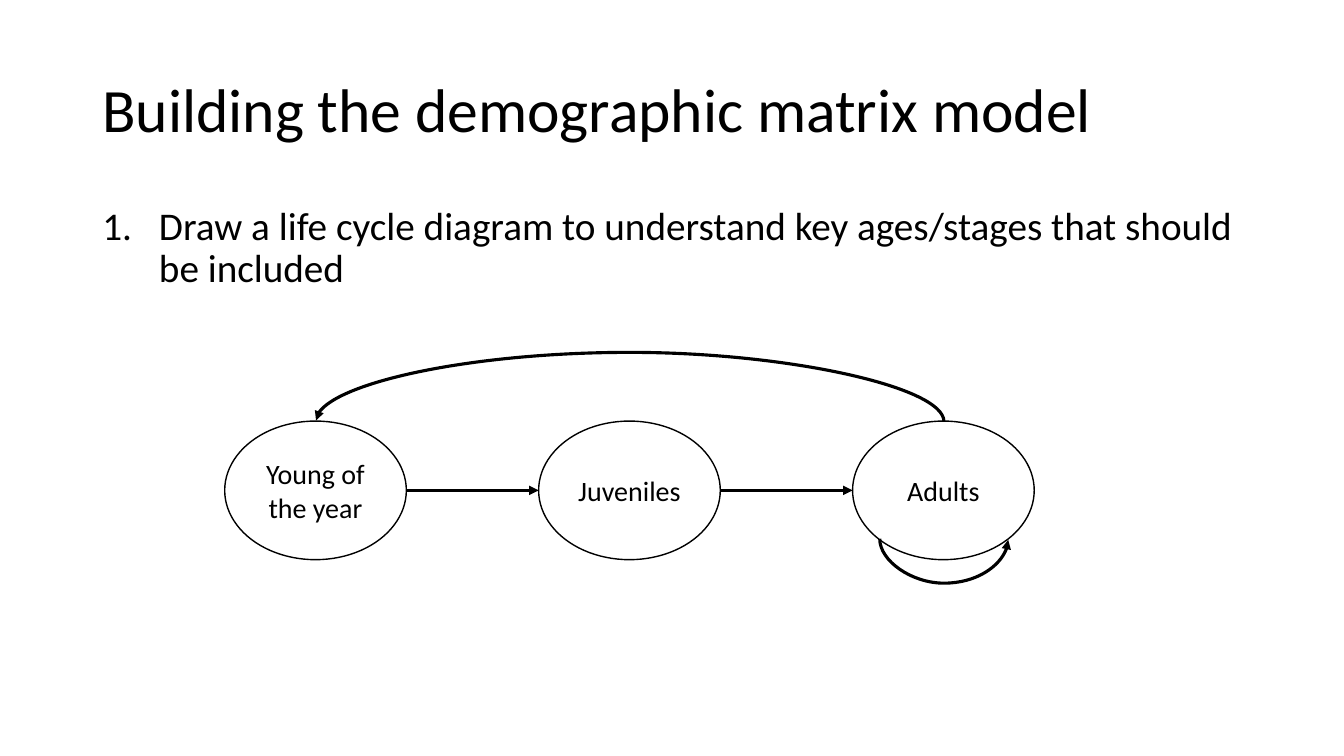
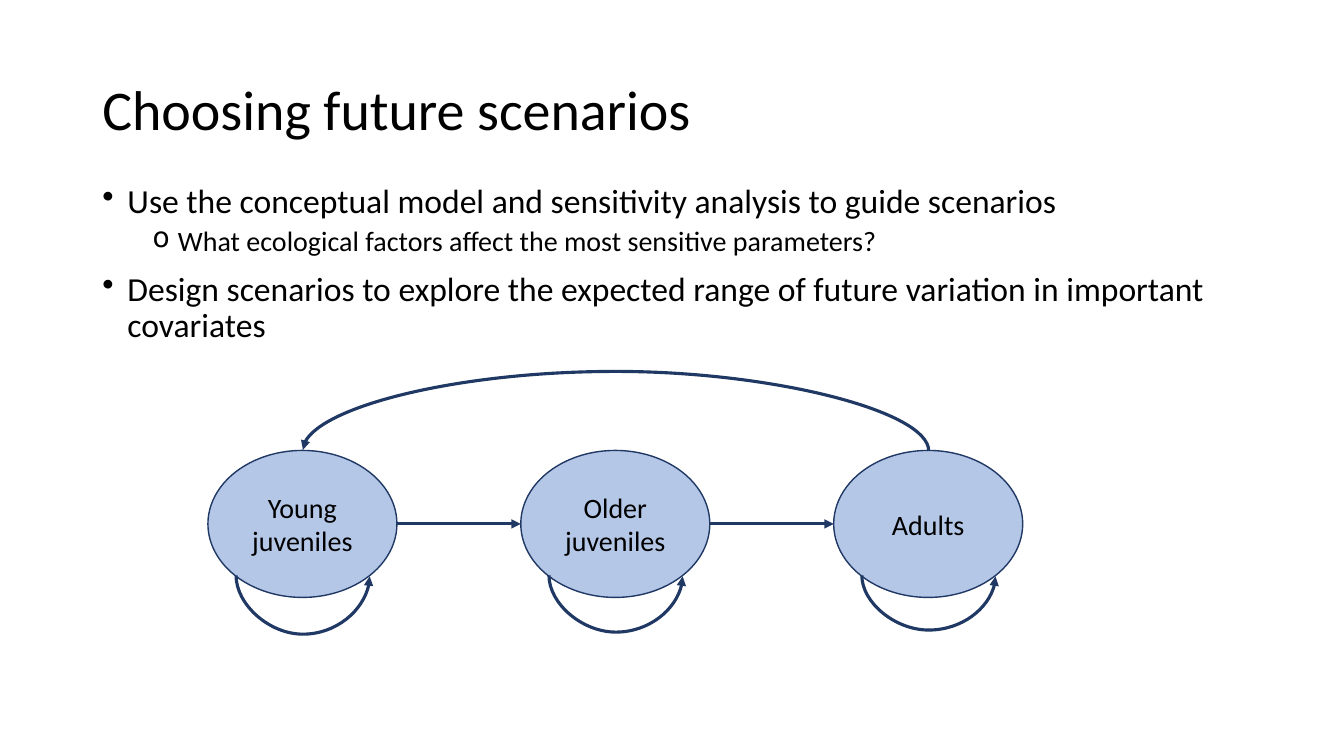
"""Build two slides about demographic matrix models and their life cycles."""
import dataclasses
import math

import lxml.etree
import pptx
import pptx.dml.color
import pptx.enum.shapes
import pptx.enum.text
import pptx.oxml.ns
import pptx.util


@dataclasses.dataclass(frozen=True)
class Theme:
    """Colours and type sizes shared by the slides."""
    font: str = "Calibri"
    ink: str = "000000"
    paper: str = "FFFFFF"
    navy: str = "203864"
    sky: str = "B4C7E7"
    title: int = 44
    title_small: int = 40
    body: int = 28
    body_small: int = 24
    detail: int = 20
    outline: float = 1
    arrow: float = 2.25


@dataclasses.dataclass(frozen=True)
class Box:
    """A rectangle in px."""
    left: int
    top: int
    width: int
    height: int

    def emu(self):
        """Return the rectangle in EMU."""
        return [px(value) for value in dataclasses.astuple(self)]


@dataclasses.dataclass(frozen=True)
class Item:
    """One list entry with its marker and indents in px."""
    text: str
    size: int
    marker: str
    indent: int
    hanging: int
    level: int = 0
    space_before: int = 10


THEME = Theme()
EMU_PER_PX = 9525
SLIDE_SIZE = (1280, 720)
TITLE_BOX = Box(88, 38, 1104, 139)
SITE_TOP, SITE_LEFT, SITE_LOWER_LEFT, SITE_LOWER_RIGHT, SITE_RIGHT = 0, 2, 3, 5, 6


def px(value):
    """Convert px to EMU."""
    return pptx.util.Emu(round(value * EMU_PER_PX))


def rgb(value):
    """Turn a hex string into a colour."""
    return pptx.dml.color.RGBColor.from_string(value)


def add_xml(parent, tag, **attributes):
    """Append a DrawingML element."""
    return lxml.etree.SubElement(parent, pptx.oxml.ns.qn(tag), **attributes)


def add_run(paragraph, text, size):
    """Append one run in the theme font."""
    run = paragraph.add_run()
    run.text = text
    run.font.name = THEME.font
    run.font.size = pptx.util.Pt(size)
    run.font.color.rgb = rgb(THEME.ink)


def add_text_frame(slide, box, anchor):
    """Add a wrapping text box and return its frame."""
    frame = slide.shapes.add_textbox(*box.emu()).text_frame
    frame.word_wrap = True
    frame.vertical_anchor = anchor
    return frame


def add_title(slide, text, size):
    """Add the slide title."""
    frame = add_text_frame(slide, TITLE_BOX, pptx.enum.text.MSO_ANCHOR.MIDDLE)
    paragraph = frame.paragraphs[0]
    paragraph.line_spacing = 0.9
    add_run(paragraph, text, size)


def add_list(slide, box, items):
    """Add a bulleted or numbered list."""
    frame = add_text_frame(slide, box, pptx.enum.text.MSO_ANCHOR.TOP)
    for index, item in enumerate(items):
        paragraph = frame.add_paragraph() if index else frame.paragraphs[0]
        paragraph.level = item.level
        paragraph.line_spacing = 0.9
        paragraph.space_before = pptx.util.Pt(item.space_before)
        properties = paragraph._p.get_or_add_pPr()
        properties.set("marL", str(px(item.indent)))
        properties.set("indent", str(px(-item.hanging)))
        if item.marker == "1.":
            add_xml(properties, "a:buAutoNum", type="arabicPeriod")
        else:
            add_xml(properties, "a:buChar", char=item.marker)
        add_run(paragraph, item.text, item.size)


def add_stage(slide, box, text, fill, line):
    """Add one life stage ellipse."""
    shape = slide.shapes.add_shape(pptx.enum.shapes.MSO_SHAPE.OVAL, *box.emu())
    shape.shadow.inherit = False
    shape.fill.solid()
    shape.fill.fore_color.rgb = rgb(fill)
    shape.line.color.rgb = rgb(line)
    shape.line.width = pptx.util.Pt(THEME.outline)
    paragraph = shape.text_frame.paragraphs[0]
    paragraph.alignment = pptx.enum.text.PP_ALIGN.CENTER
    add_run(paragraph, text, THEME.detail)
    return shape


def add_arrow(slide, kind, points, source, target, color):
    """Add an arrow glued to sites of two shapes."""
    connector = slide.shapes.add_connector(kind, *[px(value) for value in points])
    connector.line.color.rgb = rgb(color)
    connector.line.width = pptx.util.Pt(THEME.arrow)
    properties = connector._element.spPr
    add_xml(properties.find(pptx.oxml.ns.qn("a:ln")), "a:tailEnd", type="triangle")
    add_xml(properties, "a:effectLst")
    links = connector._element.nvCxnSpPr.cNvCxnSpPr
    for tag, (shape, site) in (("a:stCxn", source), ("a:endCxn", target)):
        add_xml(links, tag, id=str(shape.shape_id), idx=str(site))
    return connector


def add_arc(slide, center, span, depth, upward, source, target, color):
    """Add a curved arrow that bulges by depth px above or below its ends."""
    x, y = center
    near, far = (x, x + 1) if upward else (x + 1, x)
    half = span / 2 if upward else -span / 2
    connector = add_arrow(slide, pptx.enum.shapes.MSO_CONNECTOR.CURVE,
                          (near, y + half, far, y - half), source, target, color)
    properties = connector._element.spPr
    properties.find(pptx.oxml.ns.qn("a:xfrm")).set("rot", "16200000")
    geometry = properties.find(pptx.oxml.ns.qn("a:prstGeom"))
    add_xml(geometry.find(pptx.oxml.ns.qn("a:avLst")), "a:gd",
            name="adj1", fmla=f"val {depth * 100000}")


def add_life_cycle(slide, box, stage_width, labels, loops, return_depth, fill, line):
    """Add a row of stages with forward, return and self arrows."""
    step = (box.width - stage_width) / (len(labels) - 1)
    boxes = [Box(round(box.left + index * step), box.top, stage_width, box.height)
             for index in range(len(labels))]
    stages = [add_stage(slide, place, label, fill, line)
              for place, label in zip(boxes, labels)]
    middle = box.top + box.height / 2
    for index in range(len(stages) - 1):
        add_arrow(slide, pptx.enum.shapes.MSO_CONNECTOR.STRAIGHT,
                  (boxes[index].left + stage_width, middle, boxes[index + 1].left, middle),
                  (stages[index], SITE_RIGHT), (stages[index + 1], SITE_LEFT), line)
    diagonal = math.sqrt(0.5)
    for index, depth in loops.items():
        center = (boxes[index].left + stage_width / 2, middle + box.height / 2 * diagonal)
        add_arc(slide, center, stage_width * diagonal, depth, False,
                (stages[index], SITE_LOWER_LEFT), (stages[index], SITE_LOWER_RIGHT), line)
    add_arc(slide, (box.left + box.width / 2, box.top), box.width - stage_width,
            return_depth, True, (stages[-1], SITE_TOP), (stages[0], SITE_TOP), line)


def build_model_slide(slide):
    """Fill the slide on building the matrix model."""
    add_title(slide, "Building the demographic matrix model", THEME.title)
    add_list(slide, Box(88, 192, 1104, 457), [
        Item("Draw a life cycle diagram to understand key ages/stages that should be included",
             THEME.body, "1.", 54, 54),
    ])
    add_life_cycle(slide, Box(214, 401, 771, 132), 173,
                   ["Young of the year", "Juveniles", "Adults"],
                   {2: 43}, 67, THEME.paper, THEME.ink)


def build_scenario_slide(slide):
    """Fill the slide on choosing scenarios."""
    add_title(slide, "Choosing future scenarios", THEME.title_small)
    add_list(slide, Box(88, 171, 1104, 457), [
        Item("Use the conceptual model and sensitivity analysis to guide scenarios",
             THEME.body_small, "•", 24, 24),
        Item("What ecological factors affect the most sensitive parameters?",
             THEME.detail, "o", 72, 24, level=1, space_before=5),
        Item("Design scenarios to explore the expected range of future variation "
             "in important covariates", THEME.body_small, "•", 24, 24),
    ])
    add_life_cycle(slide, Box(198, 429, 776, 140), 180,
                   ["Young juveniles", "Older juveniles", "Adults"],
                   {0: 57, 1: 55, 2: 53}, 77, THEME.sky, THEME.navy)


def main():
    """Build and save the presentation."""
    presentation = pptx.Presentation()
    presentation.slide_width, presentation.slide_height = map(px, SLIDE_SIZE)
    for build in (build_model_slide, build_scenario_slide):
        build(presentation.slides.add_slide(presentation.slide_layouts[6]))
    presentation.save("out.pptx")


if __name__ == "__main__":
    main()
